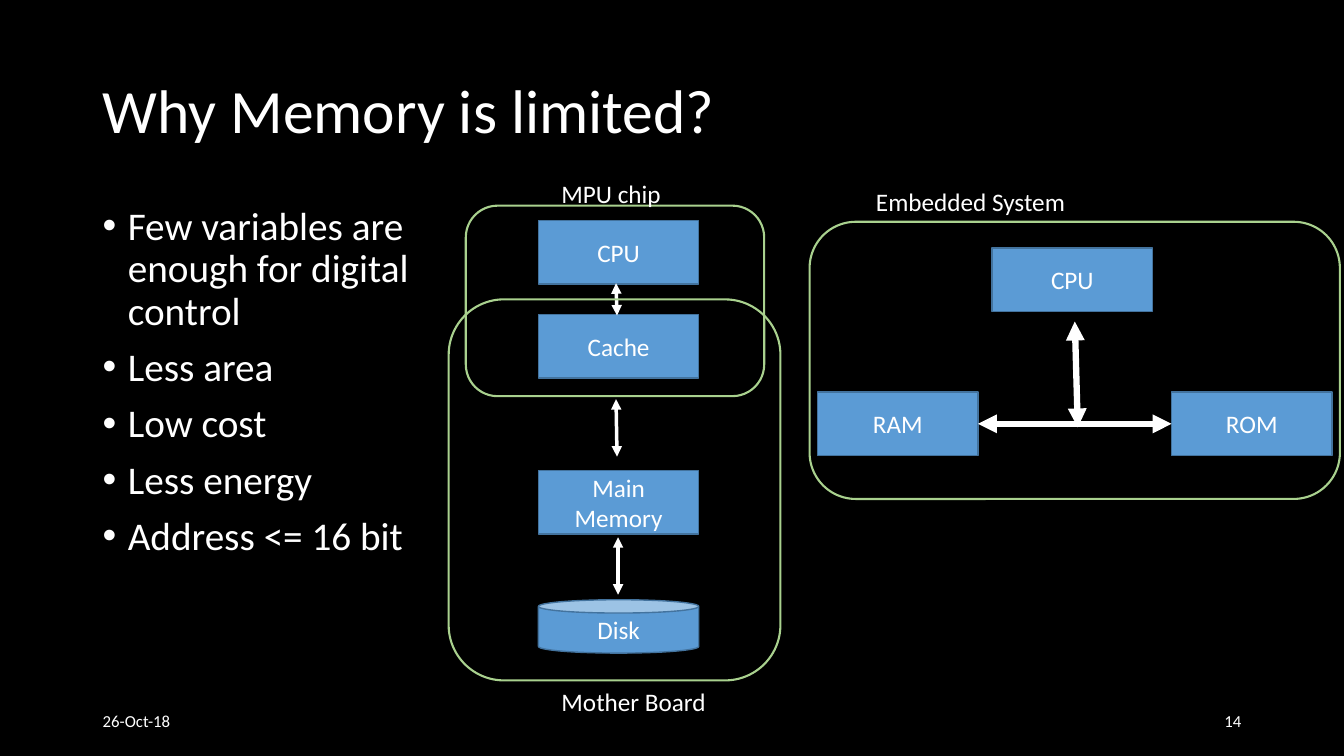
from lxml.etree import SubElement
from pptx import Presentation
from pptx.dml.color import RGBColor
from pptx.enum.shapes import MSO_CONNECTOR, MSO_SHAPE
from pptx.enum.text import MSO_ANCHOR, PP_ALIGN
from pptx.oxml.ns import qn
from pptx.util import Inches, Pt

# Content
TITLE = "Why Memory is limited?"
REASONS = [
    "Few variables are enough for digital control",
    "Less area",
    "Low cost",
    "Less energy",
    "Address <= 16 bit",
]
DATE, NUMBER = "26-Oct-18", "14"

# Grid, in inches: left edges of box columns and top edges of box rows
COLORS = {"background": "000000", "text": "FFFFFF", "box": "5B9BD5",
          "edge": "43739E", "frame": "A9D18E"}
FONT = "Calibri"
WIDTH, HEIGHT = 13.33, 7.5
MARGIN = 0.92
CONTENT_WIDTH = WIDTH - 2 * MARGIN
FOOTER_TOP, FOOTER_WIDTH, LABEL_HEIGHT = 6.95, 3, 0.4
BOX_WIDTH, BOX_HEIGHT, DISK_HEIGHT = 1.59, 0.63, 0.53
COLUMNS = {"board": 5.34, "ram": 8.11, "embedded": 9.84, "rom": 11.62}
ROWS = {"cpu": 2.19, "cache": 3.12, "memory": 4.67, "disk": 5.95,
        "embedded cpu": 2.46, "embedded memory": 3.89}

BOXES = [  # text, column, row
    ("CPU", "board", "cpu"),
    ("Cache", "board", "cache"),
    ("Main Memory", "board", "memory"),
    ("Disk", "board", "disk"),
    ("CPU", "embedded", "embedded cpu"),
    ("RAM", "ram", "embedded memory"),
    ("ROM", "rom", "embedded memory"),
]
FRAMES = [  # left, top, width, height, label, label left, label top, label width
    (4.62, 2.04, 2.96, 1.89, "MPU chip", 5.47, 1.72, 1.2),
    (4.45, 2.97, 3.29, 3.78, "Mother Board", 5.47, 6.76, 1.65),
    (8.03, 2.2, 5.26, 2.75, "Embedded System", 8.59, 1.8, 2.1),
]
BUS_TOP = ROWS["embedded memory"] + BOX_HEIGHT / 2
BUSES = [  # from x, from y, to x, to y
    (COLUMNS["ram"] + BOX_WIDTH, BUS_TOP, COLUMNS["rom"], BUS_TOP),
    (10.69, 4.24, 10.66, 3.19),
]
BOARD_LINKS = [
    (6.12, 4.53, 6.11, 3.96),
    (6.13, 5.9, 6.13, 5.33),
    (6.12, 3.13, 6.11, 2.81),
]

presentation = Presentation()
presentation.slide_width, presentation.slide_height = Inches(WIDTH), Inches(HEIGHT)
slide = presentation.slides.add_slide(presentation.slide_layouts[6])


def color(name):
    return RGBColor.from_string(COLORS[name])


def apply(target, values):
    for name, value in values.items():
        setattr(target, name, value)


def write(shape, lines, size, wrap=True, anchor=MSO_ANCHOR.TOP, **paragraph_format):
    frame = shape.text_frame
    apply(frame, {"word_wrap": wrap, "vertical_anchor": anchor})
    frame.text = "\n".join(lines)
    for paragraph in frame.paragraphs:
        apply(paragraph, paragraph_format)
        apply(paragraph.font, {"size": Pt(size), "name": FONT})
        paragraph.font.color.rgb = color("text")
    return frame


def add_text(place, lines, size, **text_format):
    shape = slide.shapes.add_textbox(*map(Inches, place))
    return write(shape, lines, size, **text_format)


def add_outline(kind, place, line_color, line_width):
    shape = slide.shapes.add_shape(kind, *map(Inches, place))
    shape.shadow.inherit = False
    shape.line.color.rgb = color(line_color)
    shape.line.width = Pt(line_width)
    return shape


def add_arrow(ends, line_width):
    connector = slide.shapes.add_connector(MSO_CONNECTOR.STRAIGHT, *map(Inches, ends))
    connector.line.color.rgb = color("text")
    connector.line.width = Pt(line_width)
    line = connector.line._get_or_add_ln()
    for end in ("a:headEnd", "a:tailEnd"):
        SubElement(line, qn(end), type="triangle")
    SubElement(connector._element.spPr, qn("a:effectLst"))


# Background, title and footer
slide.background.fill.solid()
slide.background.fill.fore_color.rgb = color("background")
add_text((MARGIN, 0.4, CONTENT_WIDTH, 1.45), [TITLE], 44,
         anchor=MSO_ANCHOR.MIDDLE, line_spacing=0.9)
add_text((MARGIN, FOOTER_TOP, FOOTER_WIDTH, LABEL_HEIGHT), [DATE], 12,
         anchor=MSO_ANCHOR.MIDDLE)
add_text((WIDTH - MARGIN - FOOTER_WIDTH, FOOTER_TOP, FOOTER_WIDTH, LABEL_HEIGHT),
         [NUMBER], 12, anchor=MSO_ANCHOR.MIDDLE, alignment=PP_ALIGN.RIGHT)

# Bulleted reasons
reasons = add_text((MARGIN, 2, 3.76, 4.76), REASONS, 28,
                   line_spacing=0.9, space_before=Pt(10))
for paragraph in reasons.paragraphs:
    properties = paragraph._p.get_or_add_pPr()
    properties.set("marL", str(Inches(0.25)))
    properties.set("indent", str(-Inches(0.25)))
    bullet_font = properties.makeelement(qn("a:buFont"), {"typeface": "Arial"})
    bullet = properties.makeelement(qn("a:buChar"), {"char": "•"})
    properties.insert_element_before(bullet_font, "a:tabLst", "a:defRPr", "a:extLst")
    properties.insert_element_before(bullet, "a:tabLst", "a:defRPr", "a:extLst")

# Hardware boxes
for text, column, row in BOXES:
    is_disk = row == "disk"
    kind = MSO_SHAPE.CAN if is_disk else MSO_SHAPE.RECTANGLE
    height = DISK_HEIGHT if is_disk else BOX_HEIGHT
    box = add_outline(kind, (COLUMNS[column], ROWS[row], BOX_WIDTH, height), "edge", 1)
    box.fill.solid()
    box.fill.fore_color.rgb = color("box")
    write(box, [text], 18, anchor=MSO_ANCHOR.MIDDLE, alignment=PP_ALIGN.CENTER)

# Buses and links
for ends in BUSES:
    add_arrow(ends, 4.5)
for ends in BOARD_LINKS:
    add_arrow(ends, 2.5)

# Frames with their labels
for left, top, width, height, label, label_left, label_top, label_width in FRAMES:
    frame = add_outline(MSO_SHAPE.ROUNDED_RECTANGLE, (left, top, width, height), "frame", 1.5)
    frame.fill.background()
    add_text((label_left, label_top, label_width, LABEL_HEIGHT), [label], 18, wrap=False)

presentation.save("out.pptx")
